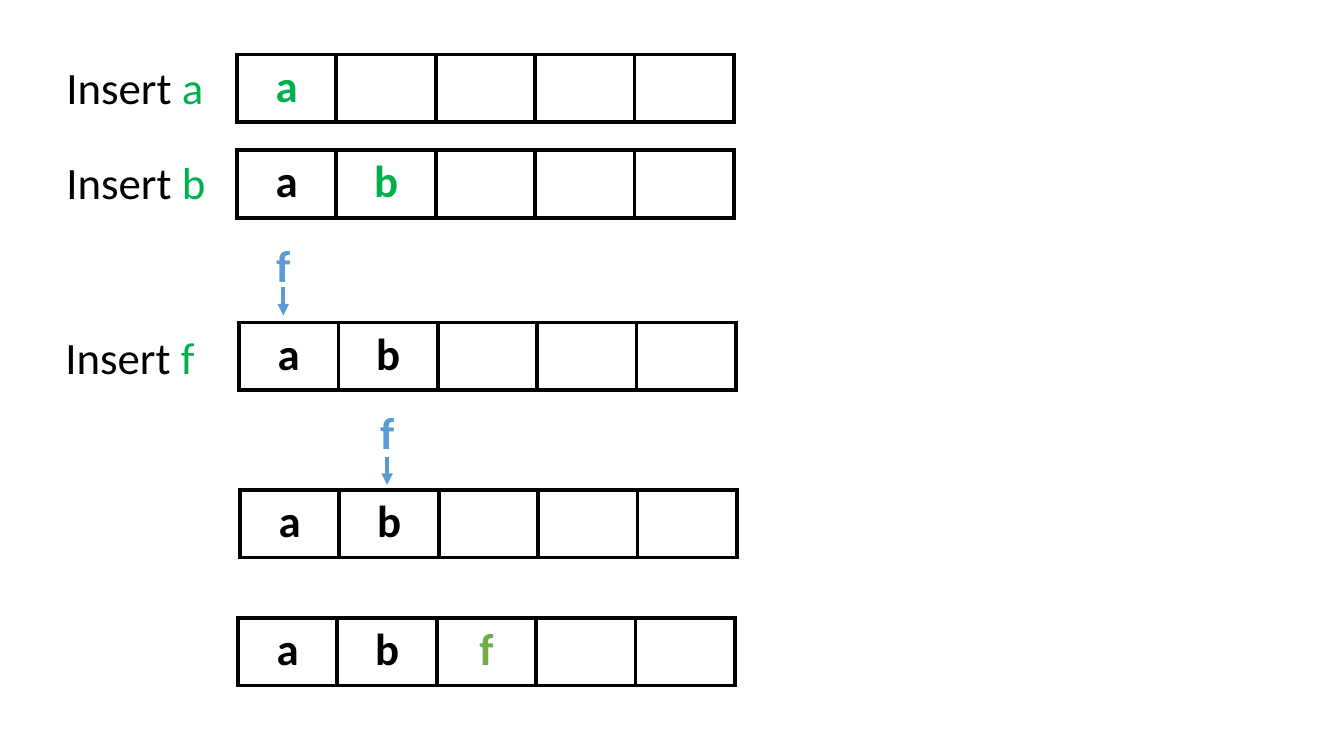
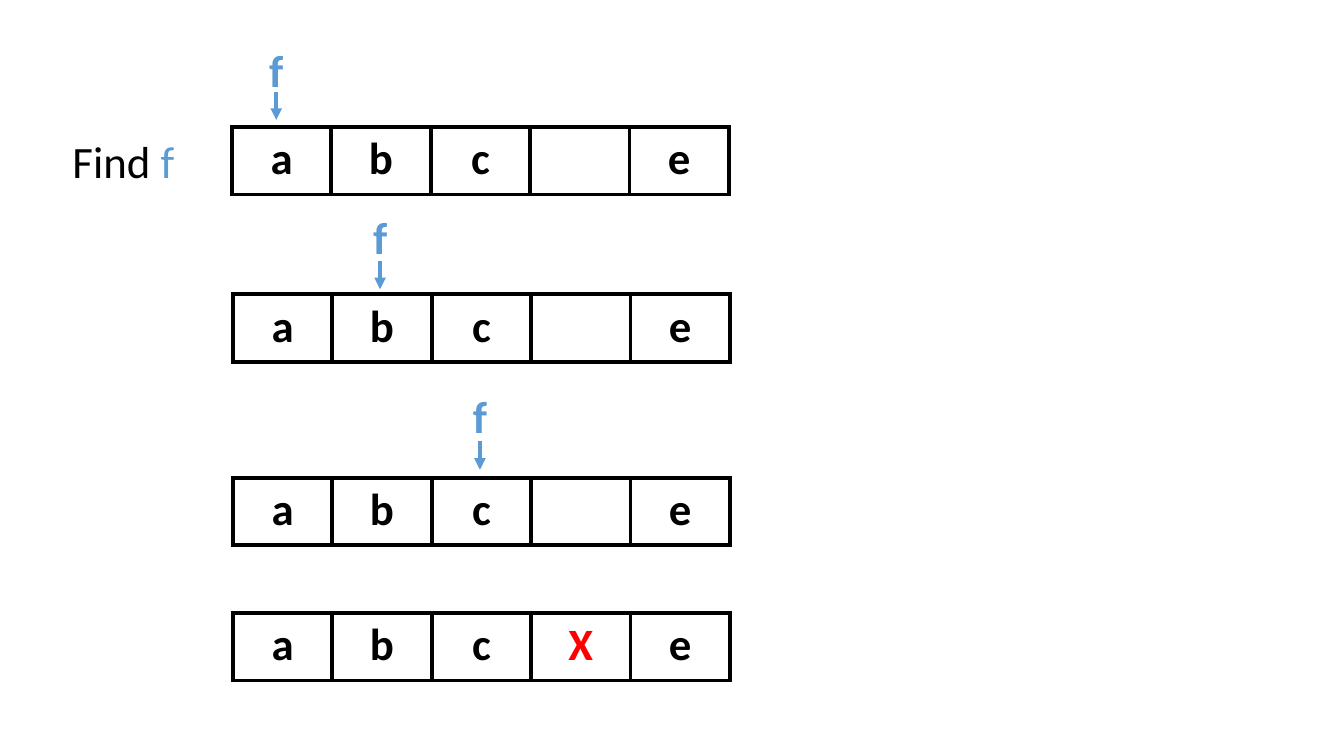
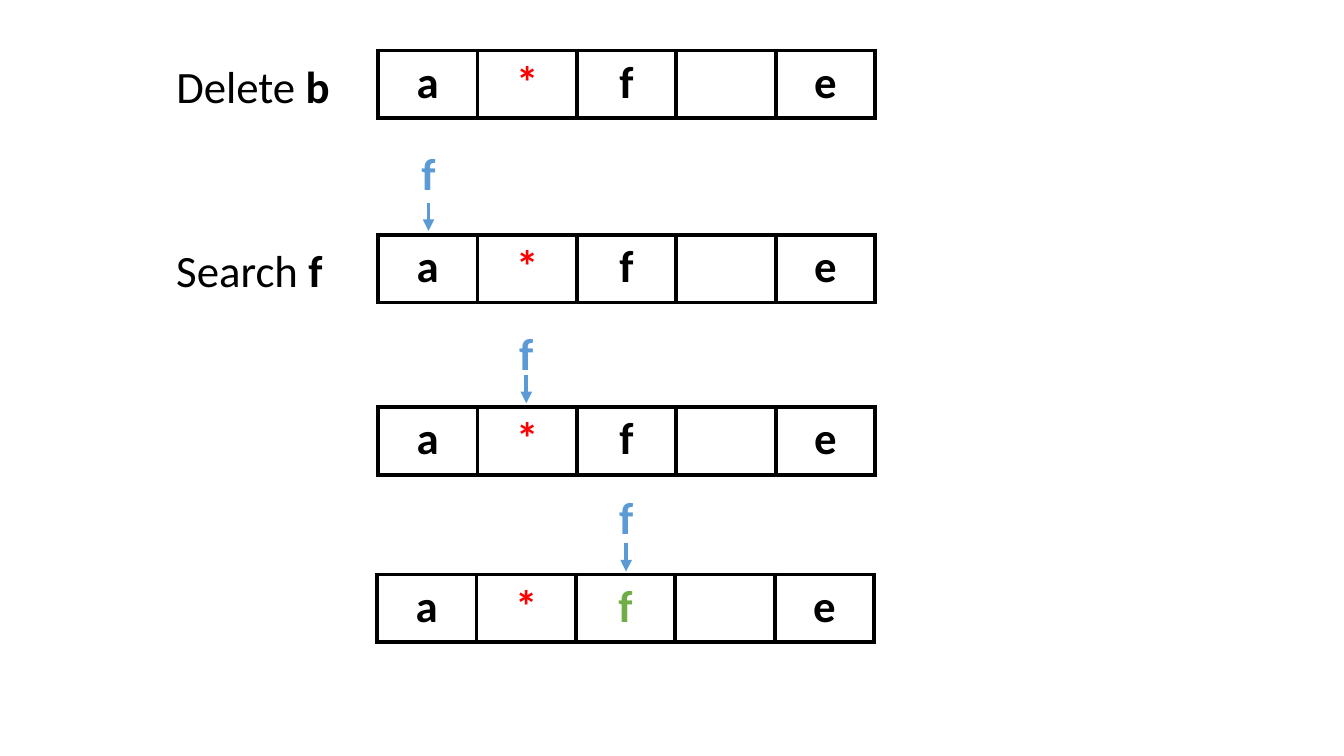
from dataclasses import dataclass
from typing import Optional

from lxml import etree
from pptx import Presentation
from pptx.dml.color import RGBColor
from pptx.enum.shapes import MSO_CONNECTOR
from pptx.enum.text import MSO_AUTO_SIZE, PP_ALIGN
from pptx.oxml.ns import qn
from pptx.util import Pt

PX = 9144  # 100 px to the inch
STRAIGHT = MSO_CONNECTOR.STRAIGHT
CENTER = PP_ALIGN.CENTER
LEFT = PP_ALIGN.LEFT
GROW = MSO_AUTO_SIZE.SHAPE_TO_FIT_TEXT

COLORS = {
    "ink": "000000",
    "paper": "FFFFFF",
    "inserted": "00B050",
    "placed": "70AD47",
    "probe": "5B9BD5",
    "marker": "FF0000",
}
FONT = "Calibri"
FONT_SIZE = 32
ARRAY_WIDTH, ARRAY_HEIGHT = 493, 67
TEXT_HEIGHT = 64
PROBE_WIDTH = 98
ARROW_LENGTH = 28


@dataclass
class Label:
    """Operation name, its key, and the place relative to the array."""
    action: str
    key: str
    dx: int
    dy: int
    width: int
    color: str = "ink"
    bold: bool = False


@dataclass
class Probe:
    """Key above the array: centre from its left, rises above its top."""
    center: int
    letter_rise: int = 89
    arrow_rise: int = 33


@dataclass
class Step:
    """One state of the array; a space in cells is an empty slot."""
    left: int
    top: int
    cells: str
    highlights: Optional[dict] = None
    label: Optional[Label] = None
    probe: Optional[Probe] = None


INSERT_STEPS = [
    Step(235, 54, "a    ", {"a": "inserted"},
         Label("Insert ", "a", -179, 0, 206, "inserted")),
    Step(235, 149, "ab   ", {"b": "inserted"},
         Label("Insert ", "b", -179, 0, 206, "inserted")),
    Step(237, 320, "ab   ",
         label=Label("Insert ", "f", -182, 2, 208, "inserted"),
         probe=Probe(44, arrow_rise=35)),
    Step(238, 486, "ab   ", probe=Probe(146)),
    Step(236, 613, "abf  ", {"f": "placed"}),
]
FIND_STEPS = [
    Step(230, 126, "abc e",
         label=Label("Find ", "f", -168, 2, 169, "probe"),
         probe=Probe(44, arrow_rise=35)),
    Step(231, 292, "abc e", probe=Probe(146)),
    Step(231, 474, "abc e", probe=Probe(245, 93, 36)),
    Step(231, 608, "abcXe", {"X": "marker"}),
]
DELETE_STEPS = [
    Step(375, 50, "a*f e", {"*": "marker"},
         Label("Delete ", "b", -210, 3, 239, bold=True)),
    Step(375, 233, "a*f e", {"*": "marker"},
         Label("Search ", "f", -210, 3, 227, bold=True),
         Probe(50, 93, 32)),
    Step(375, 404, "a*f e", {"*": "marker"}, probe=Probe(147, 86, 32)),
    Step(374, 570, "a*f e", {"*": "marker", "f": "placed"},
         probe=Probe(247, arrow_rise=31)),
]


def px(*lengths):
    return [length * PX for length in lengths]


def rgb(name):
    return RGBColor.from_string(COLORS[name])


def add_run(paragraph, text, color="ink", bold=False):
    run = paragraph.add_run()
    run.text = text
    run.font.name = FONT
    run.font.size = Pt(FONT_SIZE)
    run.font.bold = bold
    run.font.color.rgb = rgb(color)


def add_text(slide, left, top, width, runs, align=LEFT):
    box = slide.shapes.add_textbox(*px(left, top, width, TEXT_HEIGHT))
    text_frame = box.text_frame
    text_frame.word_wrap = True
    text_frame.auto_size = GROW
    paragraph = text_frame.paragraphs[0]
    paragraph.alignment = align
    for run in runs:
        add_run(paragraph, *run)


def set_borders(cell):
    properties = cell._tc.get_or_add_tcPr()
    for index, side in enumerate(("lnL", "lnR", "lnT", "lnB")):
        # Borders stand before the fill in the cell properties
        line = etree.Element(qn(f"a:{side}"), w=str(Pt(3)))
        fill = etree.SubElement(line, qn("a:solidFill"))
        etree.SubElement(fill, qn("a:srgbClr"), val=COLORS["ink"])
        properties.insert(index, line)


def add_array(slide, step):
    frame = slide.shapes.add_table(
        1, len(step.cells), *px(step.left, step.top, ARRAY_WIDTH, ARRAY_HEIGHT))
    table = frame.table
    table.first_row = False
    table.horz_banding = False
    highlights = step.highlights or {}
    for cell, key in zip(table.iter_cells(), step.cells):
        cell.fill.solid()
        cell.fill.fore_color.rgb = rgb("paper")
        set_borders(cell)
        if key != " ":
            paragraph = cell.text_frame.paragraphs[0]
            paragraph.alignment = CENTER
            add_run(paragraph, key, highlights.get(key, "ink"), True)


def add_label(slide, step):
    label = step.label
    add_text(slide, step.left + label.dx, step.top + label.dy, label.width,
             [(label.action,), (label.key, label.color, label.bold)])


def add_probe(slide, step):
    probe = step.probe
    center = step.left + probe.center
    add_text(slide, center - PROBE_WIDTH // 2, step.top - probe.letter_rise,
             PROBE_WIDTH, [("f", "probe", True)], CENTER)
    arrow_top = step.top - probe.arrow_rise
    arrow = slide.shapes.add_connector(
        STRAIGHT, *px(center, arrow_top, center, arrow_top + ARROW_LENGTH))
    arrow.line.color.rgb = rgb("probe")
    arrow.line.width = Pt(2.75)
    etree.SubElement(arrow.line._get_or_add_ln(), qn("a:tailEnd"),
                     type="triangle")
    etree.SubElement(arrow._element.spPr, qn("a:effectLst"))


def add_steps_slide(presentation, steps):
    slide = presentation.slides.add_slide(presentation.slide_layouts[6])
    for step in steps:
        add_array(slide, step)
        if step.label:
            add_label(slide, step)
        if step.probe:
            add_probe(slide, step)


def main():
    presentation = Presentation()
    presentation.slide_width, presentation.slide_height = px(1333, 750)
    for steps in (INSERT_STEPS, FIND_STEPS, DELETE_STEPS):
        add_steps_slide(presentation, steps)
    presentation.save("out.pptx")


if __name__ == "__main__":
    main()
